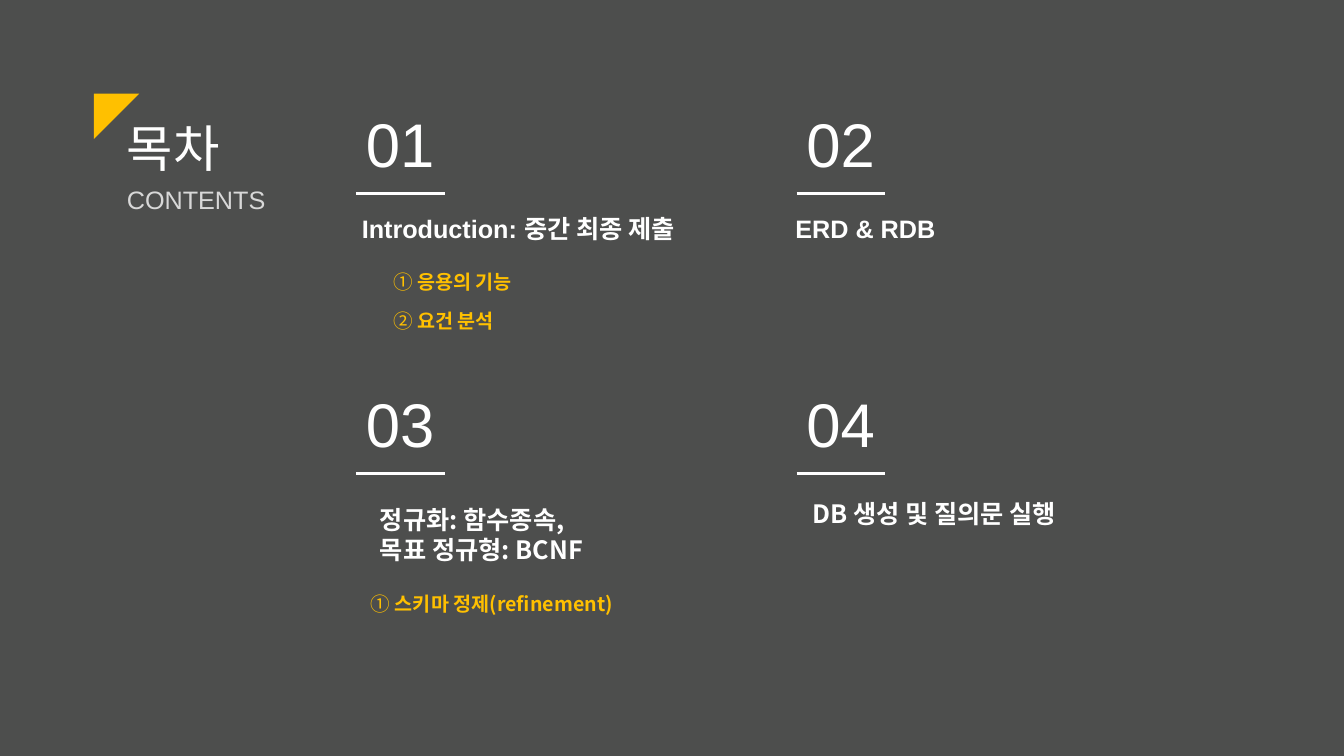
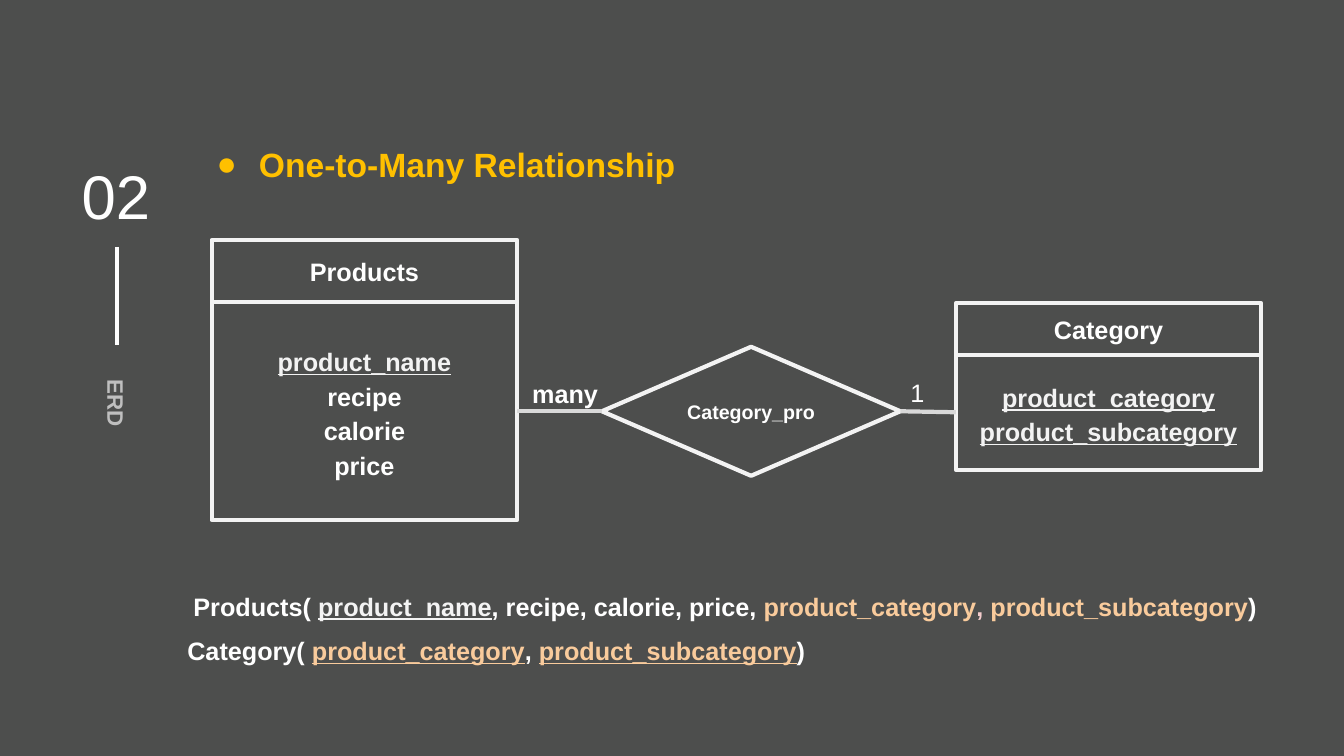
from lxml import etree
from pptx import Presentation
from pptx import util as u
from pptx.dml.color import RGBColor
from pptx.enum import shapes, text
from pptx.oxml.ns import qn

# Shared look
COLORS = {
    "background": "4D4E4D",
    "white": "FFFFFF",
    "outline": "F3F3F3",
    "link": "D9D9D9",
    "subtitle": "D8D8D8",
    "side": "BFBFBF",
    "accent": "FFC000",
    "foreign": "F9CB9C",
    "comma": "F4CCCC",
}
LATIN, KOREAN = "Arial", "Noto Sans CJK KR"

NUMBER = {"size": 44}
HEADING = {"size": 18, "bold": True}
KOREAN_HEADING = {**HEADING, "name": KOREAN}
ITEM = {"size": 14, "color": "accent"}
ITEM_WORDS = {"name": KOREAN, "bold": True}
KEY = {"color": "outline", "underline": True}
FOREIGN = {"color": "foreign"}
FOREIGN_KEY = {"color": "foreign", "underline": True}

CENTER = text.PP_ALIGN.CENTER
JUSTIFY = text.PP_ALIGN.JUSTIFY
TOP, LEFT, BOTTOM, RIGHT = range(4)


def rgb(name):
    return RGBColor.from_string(COLORS[name])


def style_span(span, style):
    values = {"name": LATIN, "color": "white", **style}
    span.font.color.rgb = rgb(values.pop("color"))
    values["size"] = u.Pt(values["size"])
    for key, value in values.items():
        setattr(span.font, key, value)
    east_asian = etree.SubElement(span.font._element, qn("a:ea"))
    east_asian.set("typeface", KOREAN)


def write(box, lines, style, align=None, spacing=None, margin=0.05,
          anchor=text.MSO_ANCHOR.TOP, wrap=True):
    """Each line is a string or a list of (words, style changes)."""
    frame = box.text_frame
    settings = {
        "word_wrap": wrap,
        "vertical_anchor": anchor,
        "margin_left": u.Inches(0.1),
        "margin_right": u.Inches(0.1),
        "margin_top": u.Inches(margin),
        "margin_bottom": u.Inches(margin),
    }
    for key, value in settings.items():
        setattr(frame, key, value)
    for index, line in enumerate(lines):
        para = frame.add_paragraph() if index else frame.paragraphs[0]
        para.alignment, para.line_spacing = align, spacing
        spans = [(line, {})] if isinstance(line, str) else line
        for words, changes in spans:
            span = para.add_run()
            span.text = words
            style_span(span, {**style, **changes})


def add_text(page, place, lines, style, **layout):
    box = page.shapes.add_textbox(*map(u.Inches, place))
    write(box, lines, style, **layout)
    return box


def add_body_text(page, place, line, style):
    return add_text(page, place, [line], style,
                    align=JUSTIFY, spacing=1.15, margin=0.1)


def add_line(page, start, end, color="white", width=2.25):
    line = page.shapes.add_connector(
        shapes.MSO_CONNECTOR.STRAIGHT, *map(u.Inches, (*start, *end)))
    line.line.color.rgb = rgb(color)
    line.line.width = u.Pt(width)
    etree.SubElement(line._element.spPr, qn("a:effectLst"))
    return line


def add_outline(page, kind, place, lines, style, **layout):
    box = page.shapes.add_shape(kind, *map(u.Inches, place))
    box.shadow.inherit = False
    box.fill.background()
    box.line.color.rgb = rgb("outline")
    box.line.width = u.Pt(3)
    write(box, lines, style, align=CENTER, margin=0.1,
          anchor=text.MSO_ANCHOR.MIDDLE, **layout)
    return box


def add_entity(page, name, left, top, header, body, attributes):
    width = 3.03
    kind = shapes.MSO_SHAPE.RECTANGLE
    fields = add_outline(page, kind, (left, top + header, width, body),
                         attributes, HEADING, spacing=1.15)
    add_outline(page, kind, (left, top, width, header), [name], HEADING)
    return fields


def join(page, first, first_side, second, second_side):
    line = add_line(page, (0, 0), (1, 1), "link", 3)
    line.begin_connect(first, first_side)
    line.end_connect(second, second_side)


def add_bullet(box):
    properties = box.text_frame.paragraphs[0]._p.get_or_add_pPr()
    properties.set("marL", str(u.Inches(0.5)))
    properties.set("indent", str(u.Inches(-0.42)))
    color = etree.SubElement(properties, qn("a:buClr"))
    etree.SubElement(color, qn("a:srgbClr")).set("val", COLORS["accent"])
    etree.SubElement(properties, qn("a:buFont")).set("typeface", LATIN)
    etree.SubElement(properties, qn("a:buChar")).set("char", "●")


def add_section(page, index, heading_place, lines, style):
    row, column = divmod(index, 2)
    left, top = 3.53 + 4.37 * column, 1 + 2.78 * row
    add_text(page, (left, top, 1.12, 0.84), [f"{index + 1:02}"], NUMBER)
    add_line(page, (left, top + 0.92), (left + 0.88, top + 0.92))
    add_text(page, heading_place, lines, style)


def build_contents(page):
    # Title with corner mark
    corner = page.shapes.add_shape(
        shapes.MSO_SHAPE.RIGHT_TRIANGLE,
        *map(u.Inches, (0.93, 0.93, 0.45, 0.45)))
    corner.rotation = 90
    corner.shadow.inherit = False
    corner.fill.solid()
    corner.fill.fore_color.rgb = rgb("accent")
    corner.line.fill.background()
    add_text(page, (1.16, 1.11, 1.79, 0.71), ["목차"], {"size": 36})
    add_text(page, (1.16, 1.78, 1.79, 0.4), ["CONTENTS"],
             {"size": 18, "color": "subtitle"})

    # Numbered sections
    sections = [
        ((3.49, 2.07, 4.2, 0.4), ["Introduction: 중간 최종 제출"], HEADING),
        ((7.79, 2.07, 2.36, 0.4), ["ERD & RDB"], HEADING),
        ((3.67, 4.95, 2.69, 0.71),
         ["정규화: 함수종속,", "목표 정규형: BCNF"], KOREAN_HEADING),
        ((7.96, 4.89, 2.92, 0.4), ["DB 생성 및 질의문 실행"], KOREAN_HEADING),
    ]
    for index, section in enumerate(sections):
        add_section(page, index, *section)

    # Items below the headings
    items = [
        (3.8, 2.63, "① ", "응용의 기능"),
        (3.8, 3.02, "② ", "요건 분석"),
        (3.58, 5.82, "① ", "스키마 정제(refinement)"),
    ]
    for left, top, mark, words in items:
        add_text(page, (left, top, 2.83, 0.34),
                 [[(mark, {}), (words, ITEM_WORDS)]], ITEM)


def build_relationship(page):
    # Side label
    add_text(page, (0.53, 1.52, 1.24, 0.84), ["02"], NUMBER, align=CENTER)
    add_line(page, (1.16, 2.45), (1.16, 3.42))
    side = add_text(page, (-0.03, 4.66, 2.36, 0.37), ["ERD"],
                    {"size": 16, "color": "side", "bold": True})
    side.rotation = 90

    # Heading
    heading = add_body_text(page, (1.97, 1.27, 9.9, 0.62),
                            "One-to-Many Relationship",
                            {"size": 24, "color": "accent", "bold": True})
    add_bullet(heading)

    # Entities and their relationship
    products = add_entity(
        page, "Products", 2.1, 2.38, 0.62, 2.16,
        [[("product_name", KEY)], "recipe", "calorie", "price"])
    category = add_entity(
        page, "Category", 9.48, 3.01, 0.51, 1.14,
        [[("product_category", KEY)], [("product_subcategory", KEY)]])
    relation = add_outline(
        page, shapes.MSO_SHAPE.DIAMOND, (5.97, 3.44, 2.96, 1.28),
        ["Category_pro"], {"size": 14, "bold": True}, wrap=False)
    join(page, products, RIGHT, relation, LEFT)
    join(page, relation, RIGHT, category, LEFT)
    add_body_text(page, (5.18, 3.61, 1.24, 0.51), "many", HEADING)
    add_body_text(page, (8.93, 3.6, 0.46, 0.6), "1", {"size": 18})

    # Relational schemas
    add_body_text(page, (1.82, 5.72, 11.05, 0.6), [
        ("Products( ", {}),
        ("product_name", KEY),
        (", recipe, calorie, price, ", {}),
        ("product_category", FOREIGN),
        (", ", {"color": "comma"}),
        ("product_subcategory", FOREIGN),
        (")", {}),
    ], HEADING)
    add_body_text(page, (1.76, 6.16, 9.9, 0.6), [
        ("Category( ", {}),
        ("product_category", FOREIGN_KEY),
        (", ", {}),
        ("product_subcategory", FOREIGN_KEY),
        (")", {}),
    ], HEADING)


def main():
    deck = Presentation()
    deck.slide_width, deck.slide_height = u.Inches(13.33), u.Inches(7.5)
    backdrop = deck.slide_master.background.fill
    backdrop.solid()
    backdrop.fore_color.rgb = rgb("background")
    for build in (build_contents, build_relationship):
        build(deck.slides.add_slide(deck.slide_layouts[6]))
    deck.save("out.pptx")


if __name__ == "__main__":
    main()
